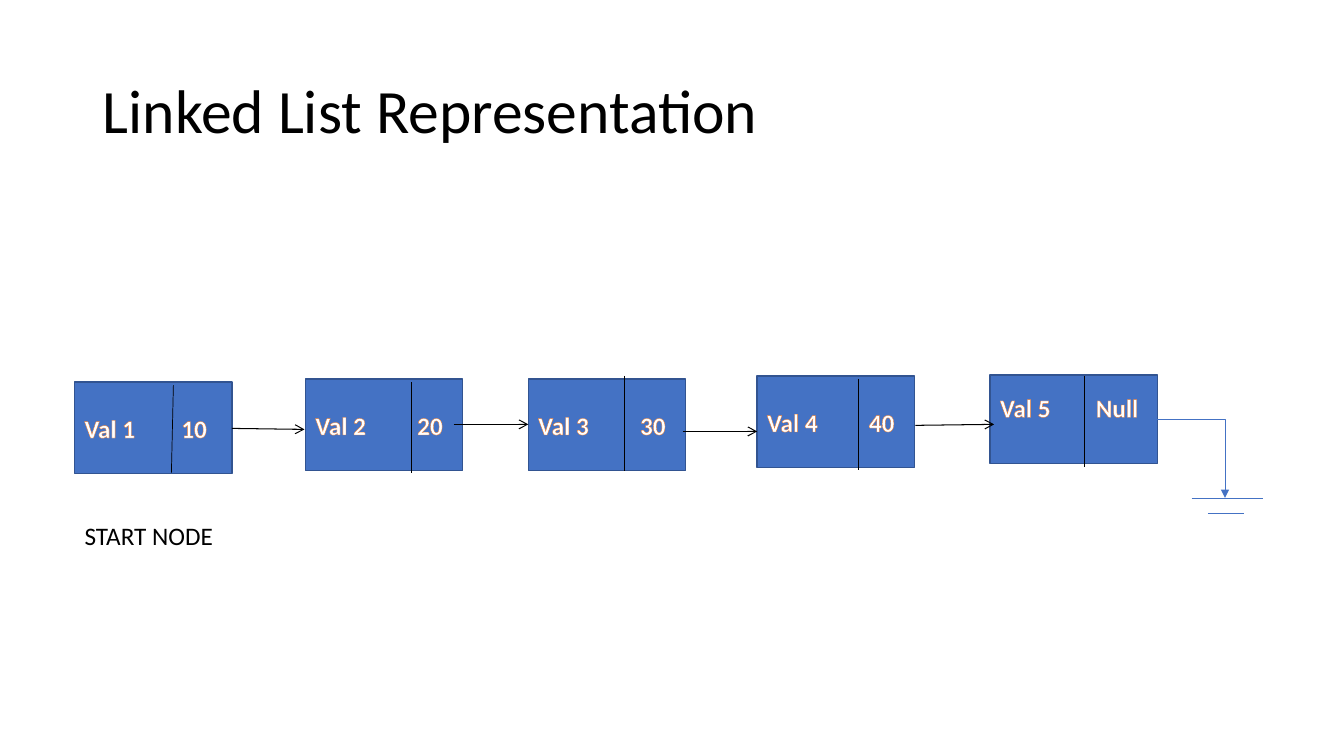
from lxml.etree import SubElement
from pptx import Presentation
from pptx.dml.color import RGBColor
from pptx.enum.shapes import MSO_CONNECTOR, MSO_SHAPE
from pptx.enum.text import MSO_ANCHOR, PP_ALIGN
from pptx.oxml.ns import qn
from pptx.util import Inches, Pt

FONT = "Calibri"
BLACK, WHITE, BLUE, DARK_BLUE, ORANGE = "000000", "FFFFFF", "4472C4", "325491", "ED7D31"

# left, top, width, height, label, value, value indent, divider (x1, y1, x2, y2)
NODES = [
    (0.74, 3.79, 1.56, 0.91, "Val 1", "10", 0.96, (0.96, 0.9, 0.98, 0.03)),
    (3.03, 3.76, 1.56, 0.91, "Val 2", "20", 1.01, (1.05, 0.03, 1.05, 0.93)),
    (5.24, 3.76, 1.56, 0.91, "Val 3", "30", 1.01, (0.95, -0.03, 0.95, 0.91)),
    (7.51, 3.73, 1.56, 0.91, "Val 4", "40", 1.01, (1.0, 0.03, 1.0, 0.93)),
    (9.82, 3.72, 1.66, 0.88, "Val 5", "Null", 0.95, (0.93, 0.01, 0.93, 0.91)),
]
# Each link starts from the right edge of its node: dx, dy, run, rise
LINKS = [(0, 0.46, 0.72, 0.01), (-0.09, 0.45, 0.74, 0),
         (-0.03, 0.52, 0.74, 0), (0.01, 0.49, 0.78, -0.01)]


def color(value):
    """Turn a hex string into a colour."""
    return RGBColor.from_string(value)


def apply(target, formats):
    """Set every attribute in a dict of format values."""
    for name, value in formats.items():
        setattr(target, name, value)


def style_run(run, size, value, bold=False):
    """Give a run its font, size, weight and colour."""
    apply(run.font, {"name": FONT, "size": Pt(size), "bold": bold})
    run.font.color.rgb = color(value)


def outline_text(run, value, width):
    """Draw an outline around the letters of a run."""
    properties = run.font._element
    outline = SubElement(properties, qn("a:ln"), w=str(Pt(width)))
    fill = SubElement(outline, qn("a:solidFill"))
    SubElement(fill, qn("a:srgbClr"), val=value)
    properties.insert(0, outline)


def add_line(slide, start, end, value=BLACK, width=0.5, head=None, bent=False):
    """Add a straight or bent line, with an arrowhead if one is named."""
    kind = MSO_CONNECTOR.ELBOW if bent else MSO_CONNECTOR.STRAIGHT
    connector = slide.shapes.add_connector(kind, *map(Inches, (*start, *end)))
    connector.line.color.rgb = color(value)
    connector.line.width = Pt(width)
    properties = connector._element.spPr
    if bent:
        properties.find(qn("a:prstGeom")).set("prst", "bentConnector2")
    if head:
        SubElement(properties.find(qn("a:ln")), qn("a:tailEnd"), type=head)
    SubElement(properties, qn("a:effectLst"))


def add_title(slide, box, text):
    """Place the title placeholder in its box."""
    title = slide.shapes.title
    apply(title, dict(zip(("left", "top", "width", "height"), map(Inches, box))))
    frame = title.text_frame
    apply(frame, {"text": text, "vertical_anchor": MSO_ANCHOR.MIDDLE})
    paragraph = frame.paragraphs[0]
    apply(paragraph, {"alignment": PP_ALIGN.LEFT, "line_spacing": 0.9})
    style_run(paragraph.runs[0], 44, BLACK)


def add_node(slide, box, label, value, indent, divider, bottom=0.05):
    """Draw a list node: a box with a label, a value and a divider."""
    left, top = box[:2]
    shape = slide.shapes.add_shape(MSO_SHAPE.RECTANGLE, *map(Inches, box))
    shape.shadow.inherit = False
    shape.fill.solid()
    shape.fill.fore_color.rgb = color(BLUE)
    shape.line.color.rgb = color(DARK_BLUE)
    shape.line.width = Pt(1)
    frame = shape.text_frame
    apply(frame, {"word_wrap": True, "vertical_anchor": MSO_ANCHOR.MIDDLE,
                  "margin_bottom": Inches(bottom)})
    paragraph = frame.paragraphs[0]
    paragraph.alignment = PP_ALIGN.LEFT
    tabs = SubElement(paragraph._p.get_or_add_pPr(), qn("a:tabLst"))
    SubElement(tabs, qn("a:tab"), pos=str(Inches(indent)), algn="l")
    run = paragraph.add_run()
    run.text = f"{label}\t{value}"
    style_run(run, 18, WHITE, bold=True)
    outline_text(run, ORANGE, 1.75)
    x1, y1, x2, y2 = divider
    add_line(slide, (left + x1, top + y1), (left + x2, top + y2))


def add_links(slide, nodes):
    """Join each node to the next with an arrow."""
    for (left, top, width, *_), (dx, dy, run, rise) in zip(nodes, LINKS):
        x, y = left + width + dx, top + dy
        add_line(slide, (x, y), (x + run, y + rise), width=0.75, head="arrow")


def add_ground(slide, box):
    """Draw the end of the list: a bent arrow down to two short bars."""
    left, top, width, height = box
    x, y = left + width, top + height
    add_line(slide, (left, top), (x, y), BLUE, head="triangle", bent=True)
    for start, end, drop in [(-0.33, 0.38, 0), (-0.17, 0.19, 0.15)]:
        add_line(slide, (x + start, y + drop), (x + end, y + drop), BLUE)


def add_caption(slide, box, text):
    """Write a caption under a node."""
    frame = slide.shapes.add_textbox(*map(Inches, box)).text_frame
    apply(frame, {"word_wrap": True, "text": text})
    style_run(frame.paragraphs[0].runs[0], 18, BLACK)


def build():
    """Build the slide and save it."""
    presentation = Presentation()
    apply(presentation, {"slide_width": Inches(13.33), "slide_height": Inches(7.5)})
    slide = presentation.slides.add_slide(presentation.slide_layouts[5])
    add_title(slide, (0.92, 0.4, 11.5, 1.45), "Linked List Representation")
    for node in NODES:
        # The last node's text sits above the middle
        add_node(slide, node[:4], *node[4:], bottom=0.29 if node is NODES[-1] else 0.05)
    add_links(slide, NODES)
    add_ground(slide, (11.48, 4.16, 0.67, 0.78))
    add_caption(slide, (0.74, 5.11, 1.56, 0.4), "START NODE")
    presentation.save("out.pptx")


build()
